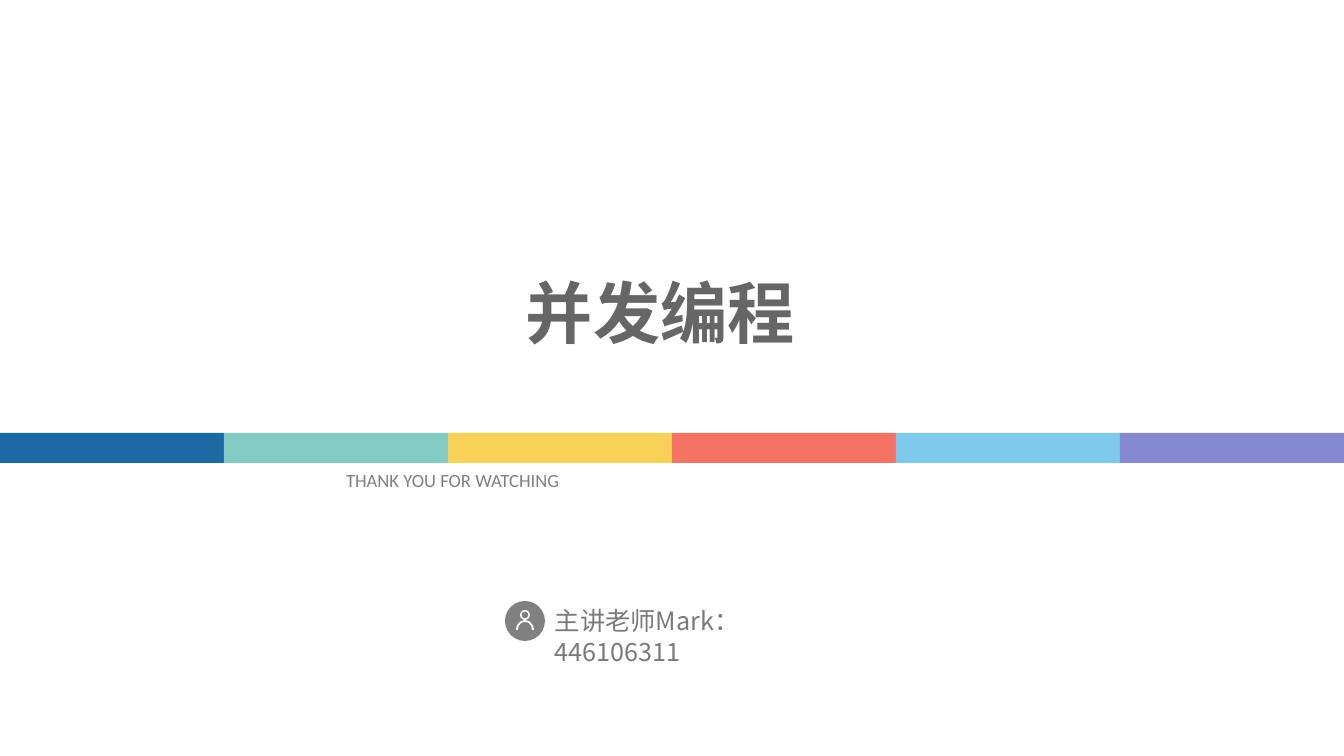
from pptx import Presentation
from pptx.dml.color import RGBColor
from pptx.enum.shapes import MSO_SHAPE
from pptx.enum.text import MSO_ANCHOR, PP_ALIGN
from pptx.oxml.ns import qn
from pptx.util import Pt
from lxml.etree import SubElement

WIDTH, HEIGHT = 1344, 756
EMU_PER_PX = 12192000 / WIDTH

WHITE = RGBColor(0xFF, 0xFF, 0xFF)
TITLE_GRAY = RGBColor(0x66, 0x66, 0x66)
TEXT_GRAY = RGBColor(0x7A, 0x7A, 0x7A)
MID_GRAY = RGBColor(0x80, 0x80, 0x80)
BAND_COLORS = [
    RGBColor(0x1D, 0x69, 0xA3),
    RGBColor(0x84, 0xCB, 0xC3),
    RGBColor(0xF8, 0xD1, 0x58),
    RGBColor(0xF5, 0x73, 0x65),
    RGBColor(0x7F, 0xC9, 0xEC),
    RGBColor(0x86, 0x89, 0xD0),
]
CJK_FONT = "Noto Sans CJK SC"
LATIN_FONT = "Calibri"


def px(length):
    return round(length * EMU_PER_PX)


def write(box, text, *, size, color, font=CJK_FONT, bold=False,
          align=PP_ALIGN.LEFT, anchor=MSO_ANCHOR.MIDDLE,
          leading=None, right_inset=10):
    frame = box.text_frame
    frame.word_wrap = True
    frame.vertical_anchor = anchor
    frame.margin_left, frame.margin_right = px(10), px(right_inset)
    frame.margin_top = frame.margin_bottom = px(5)
    para = frame.paragraphs[0]
    para.alignment = align
    if leading:
        para.line_spacing = Pt(leading)
    span = para.add_run()
    span.text = text
    span.font.size = Pt(size)
    span.font.bold = bold
    span.font.color.rgb = color
    span.font.name = font
    east_asian = SubElement(span.font._element, qn("a:ea"))
    east_asian.set("typeface", font)


class ClosingPage:
    def __init__(self, deck):
        self.page = deck.slides.add_slide(deck.slide_layouts[5])

    def title(self, text, left, top, width, height):
        box = self.page.shapes.title
        box.left, box.top = px(left), px(top)
        box.width, box.height = px(width), px(height)
        write(box, text, size=48, color=TITLE_GRAY, bold=True)

    def text(self, text, left, top, width, height, **style):
        box = self.page.shapes.add_textbox(
            px(left), px(top), px(width), px(height))
        write(box, text, **style)

    def shape(self, kind, left, top, width, height, color):
        shape = self.page.shapes.add_shape(
            kind, px(left), px(top), px(width), px(height))
        shape.shadow.inherit = False
        shape.fill.solid()
        shape.fill.fore_color.rgb = color
        shape.line.fill.background()
        return shape

    def person_icon(self, left, top):
        self.shape(MSO_SHAPE.OVAL, left, top, 40, 40, MID_GRAY)
        head = self.shape(MSO_SHAPE.DONUT, left + 15, top + 9, 10, 10, WHITE)
        head.adjustments[0] = 0.16
        shoulders = self.shape(
            MSO_SHAPE.BLOCK_ARC, left + 11, top + 19, 18, 20, WHITE)
        shoulders.adjustments[2] = 0.1

    def color_band(self, top, height, colors):
        width = WIDTH // len(colors)
        for index, color in enumerate(colors):
            self.shape(MSO_SHAPE.RECTANGLE, index * width, top, width, height, color)


def main():
    deck = Presentation()
    deck.slide_width, deck.slide_height = px(WIDTH), px(HEIGHT)
    closing = ClosingPage(deck)
    closing.title("并发编程", 516, 266, 308, 91)
    closing.text("THANK YOU FOR WATCHING", 336, 464, 672, 33,
                 size=13.3, color=MID_GRAY, font=LATIN_FONT,
                 align=PP_ALIGN.JUSTIFY)
    closing.person_icon(505, 601)
    closing.text("主讲老师Mark：446106311", 545, 601, 344, 40,
                 size=18, color=TEXT_GRAY, anchor=MSO_ANCHOR.TOP,
                 leading=21.5, right_inset=120)
    closing.color_band(433, 30, BAND_COLORS)
    deck.save("out.pptx")


if __name__ == "__main__":
    main()
